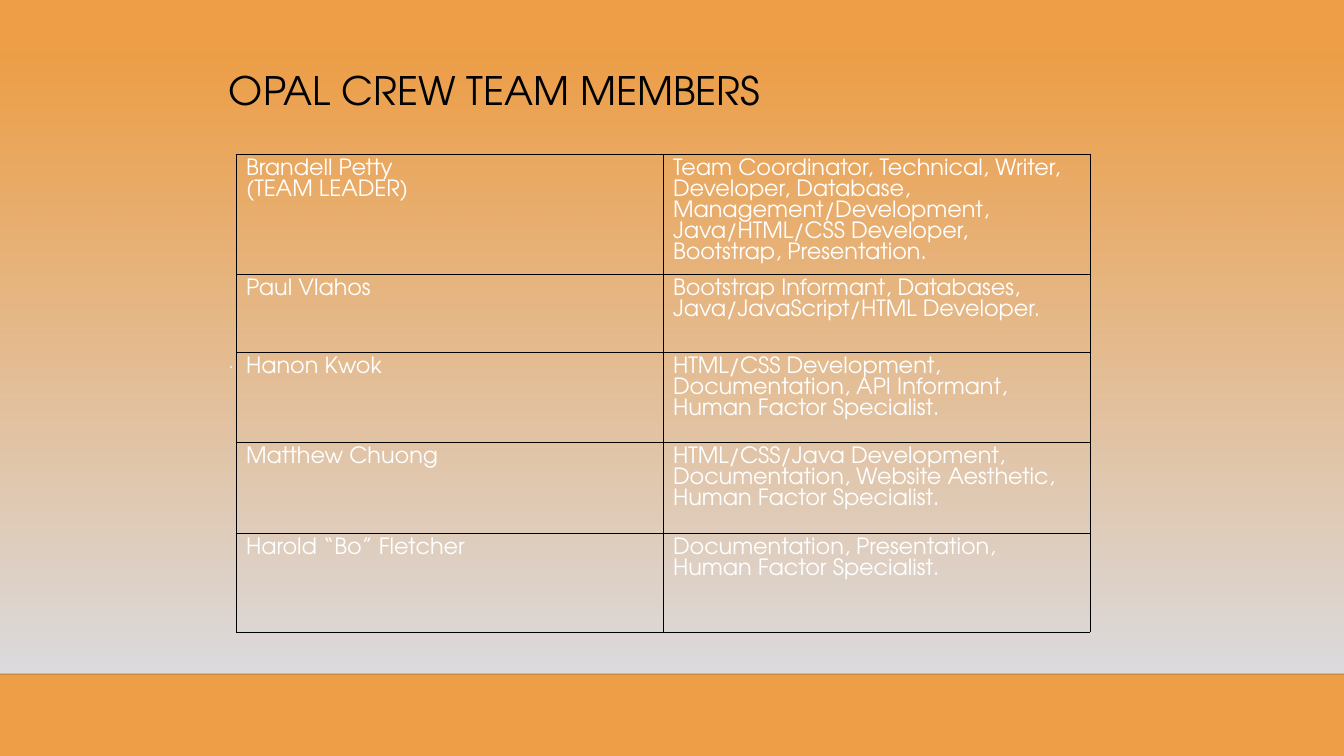
from lxml import etree
from pptx import Presentation
from pptx import util as u
from pptx.dml.color import RGBColor
from pptx.enum import shapes, text
from pptx.oxml import ns

PX = 914400 / 100.8
FONT = "TeX Gyre Adventor"
ORANGE = RGBColor(0xED, 0x9E, 0x46)
MIST = RGBColor(0xDC, 0xDC, 0xE0)
PALE = RGBColor(0xDE, 0xDE, 0xE2)
BLACK = RGBColor(0, 0, 0)
INK = RGBColor(0, 0, 1)
WHITE = RGBColor(0xFF, 0xFF, 0xFF)

COLUMN_WIDTH = 427
ROW_HEIGHTS = [120, 78, 90, 91, 99]
MEMBERS = [
    (["Brandell Petty", "(TEAM LEADER)"],
     ["Team Coordinator, Technical, Writer, Developer, Database, "
      "Management/Development, Java/HTML/CSS Developer, Bootstrap, Presentation."]),
    (["Paul Vlahos"],
     ["Bootstrap Informant, Databases, Java/JavaScript/HTML Developer."]),
    (["Hanon Kwok"],
     ["HTML/CSS Development, Documentation, API Informant, Human Factor Specialist."]),
    (["Matthew Chuong"],
     ["HTML/CSS/Java Development, Documentation, Website Aesthetic, "
      "Human Factor Specialist."]),
    (["Harold “Bo” Fletcher"],
     ["Documentation, Presentation, Human Factor Specialist."]),
]


def px(*lengths):
    return [u.Emu(round(length * PX)) for length in lengths]


def child(parent, tag, **attributes):
    return etree.SubElement(parent, ns.qn(tag), attributes)


def set_alpha(color_holder, percent):
    for color in color_holder.iter(ns.qn("a:srgbClr")):
        child(color, "a:alpha", val=str(percent * 1000))


def add_span(para, words, size, color):
    span = para.add_run()
    span.text = words
    span.font.name = FONT
    span.font.size = u.Pt(size)
    span.font.color.rgb = color


def add_text(page, bounds, words, size, color, anchor):
    box = page.shapes.add_textbox(*px(*bounds))
    frame = box.text_frame
    frame.word_wrap = True
    frame.vertical_anchor = anchor
    frame.margin_left, frame.margin_top, frame.margin_right, frame.margin_bottom = px(10, 10, 10, 10)
    para = frame.paragraphs[0]
    add_span(para, words, size, color)
    return para


def add_backdrop(page):
    page.background.fill.solid()
    page.background.fill.fore_color.rgb = ORANGE
    panel = page.shapes.add_shape(shapes.MSO_SHAPE.RECTANGLE, *px(0, 51, 1344, 623))
    panel.shadow.inherit = False
    panel.line.fill.background()
    panel.fill.gradient()
    panel.fill.gradient_angle = 270
    for stop, color in zip(panel.fill.gradient_stops, (MIST, PALE)):
        stop.color.rgb = color
    first_stop = next(panel._element.spPr.iter(ns.qn("a:gs")))
    set_alpha(first_stop, 0)


def add_floor_line(page):
    line = page.shapes.add_connector(shapes.MSO_CONNECTOR.STRAIGHT, *px(0, 674, 1344, 674))
    line.line.color.rgb = INK
    line.line.width = u.Pt(1)
    set_alpha(line._element.spPr, 20)
    child(line._element.spPr, "a:effectLst")


def add_borders(cell):
    properties = cell._tc.get_or_add_tcPr()
    for place, side in enumerate(("a:lnL", "a:lnR", "a:lnT", "a:lnB")):
        border = child(properties, side, w=str(u.Pt(0.5)))
        child(child(border, "a:solidFill"), "a:srgbClr", val=str(BLACK))
        properties.insert(place, border)


def fill_cell(cell, lines):
    cell.fill.background()
    add_borders(cell)
    frame = cell.text_frame
    for number, words in enumerate(lines):
        para = frame.add_paragraph() if number else frame.paragraphs[0]
        para.line_spacing = u.Pt(15)
        add_span(para, words, 16, WHITE)


def add_member_table(page):
    bounds = px(236, 154, 2 * COLUMN_WIDTH, sum(ROW_HEIGHTS))
    table = page.shapes.add_table(len(MEMBERS), 2, *bounds).table
    table.first_row = table.horz_banding = False
    for column in table.columns:
        column.width = px(COLUMN_WIDTH)[0]
    for row, height, member in zip(table.rows, ROW_HEIGHTS, MEMBERS):
        row.height = px(height)[0]
        for cell, lines in zip(row.cells, member):
            fill_cell(cell, lines)


def main():
    deck = Presentation()
    deck.slide_width, deck.slide_height = px(1344, 756)
    page = deck.slides.add_slide(deck.slide_layouts[6])

    # Background
    add_backdrop(page)
    add_floor_line(page)

    # Title and the small dot beside the table
    title = add_text(page, (219, 66, 907, 58), "OPAL CREW TEAM MEMBERS", 28, BLACK,
                     text.MSO_ANCHOR.BOTTOM)
    title.line_spacing = 0.9
    dot = add_text(page, (219, 342, 416, 243), ".", 12, WHITE, text.MSO_ANCHOR.TOP)
    dot.space_before = u.Pt(6)

    # Members and their roles
    add_member_table(page)
    deck.save("out.pptx")


if __name__ == "__main__":
    main()
